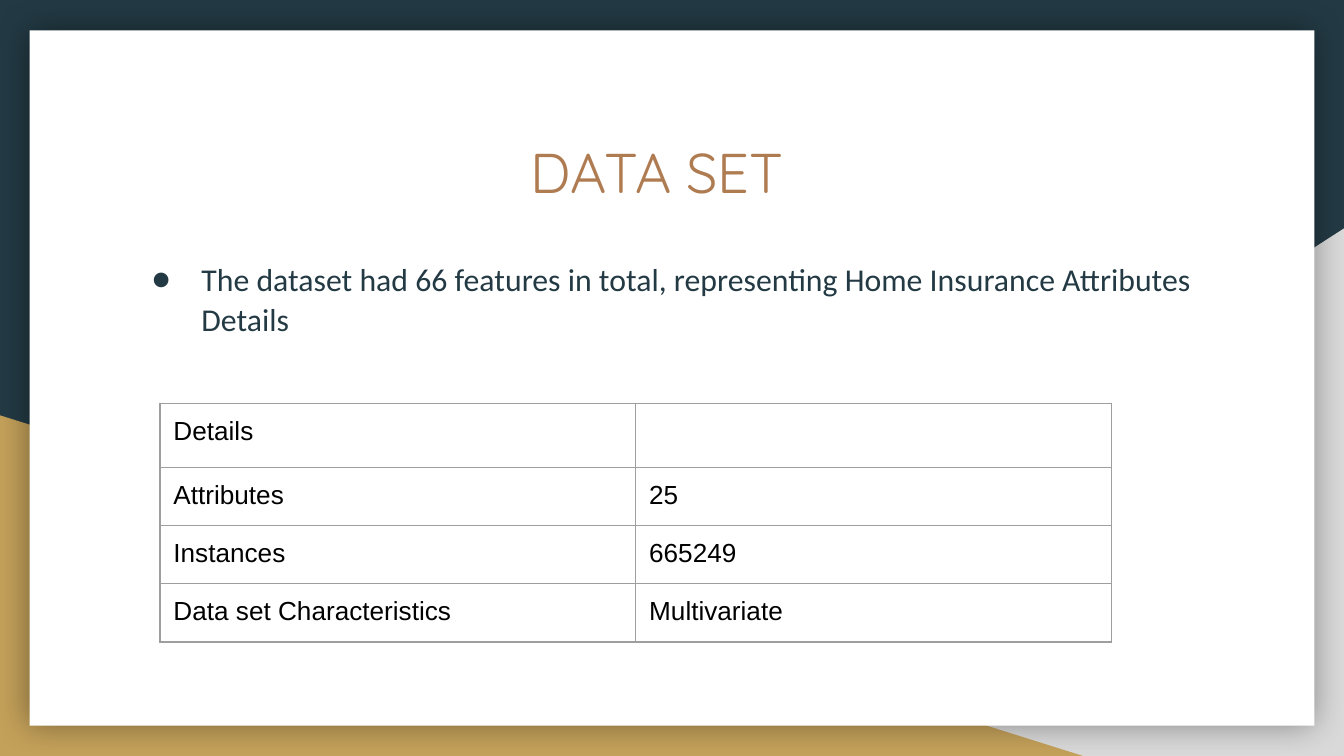
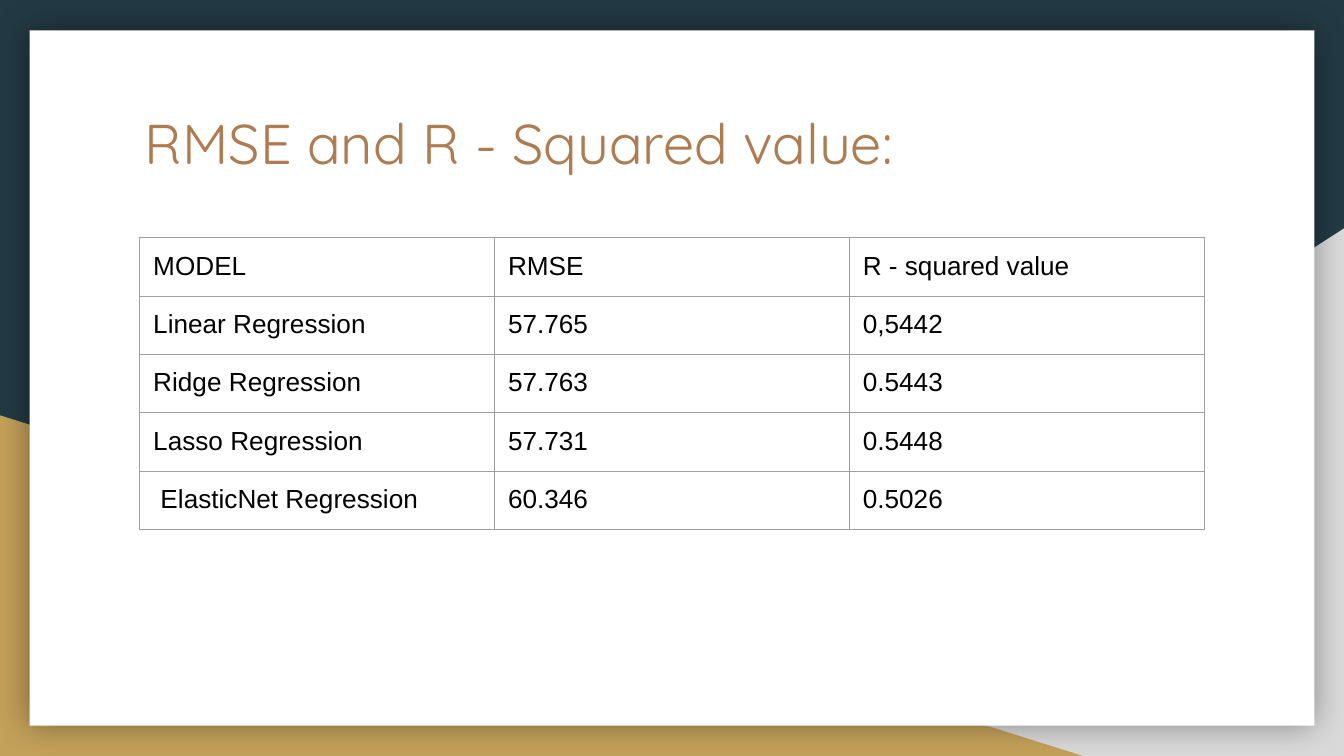
from dataclasses import dataclass

from lxml.etree import SubElement
from pptx import Presentation
from pptx.dml.color import RGBColor
from pptx.enum.shapes import MSO_SHAPE
from pptx.oxml import parse_xml
from pptx.oxml.ns import nsdecls, qn
from pptx.util import Inches, Pt

COLORS = {
    "background": "233A44",
    "gray": "D9D9D9",
    "gold": "C4A15A",
    "card": "FFFFFF",
    "title": "AF7B51",
    "body": "233A44",
    "table_text": "000000",
    "border": "9E9E9E",
    "shadow": "000000",
}
GRID = Inches(0.1)
COLUMNS = 100
ROWS = 56.25
INSET = 1
TABLE_ROW = 4.18


@dataclass
class Box:
    left: float
    top: float
    width: float
    height: float

    def place(self):
        return [round(value * GRID) for value in (self.left, self.top, self.width, self.height)]


def color(name):
    return RGBColor.from_string(COLORS[name])


def format_runs(paragraph, font_name, size, color_name):
    for run in paragraph.runs:
        run.font.name = font_name
        run.font.size = Pt(size)
        run.font.color.rgb = color(color_name)


def indent(paragraph, margin, first_line=0):
    properties = paragraph._p.get_or_add_pPr()
    properties.set("marL", str(round(margin * GRID)))
    properties.set("indent", str(round(first_line * GRID)))
    return properties


def add_plain_shape(slide, preset, box, fill):
    shape = slide.shapes.add_shape(preset, *box.place())
    shape.shadow.inherit = False
    shape.fill.solid()
    shape.fill.fore_color.rgb = color(fill)
    shape.line.fill.background()
    return shape


def add_glow(shape):
    properties = shape._element.spPr
    properties.remove(properties.find(qn("a:effectLst")))
    properties.append(parse_xml(
        f'<a:effectLst {nsdecls("a")}><a:outerShdw blurRad="{Pt(18)}" dist="0" dir="0" '
        f'algn="ctr" rotWithShape="0"><a:srgbClr val="{COLORS["shadow"]}">'
        '<a:alpha val="40000"/></a:srgbClr></a:outerShdw></a:effectLst>'
    ))


def add_backdrop(slide, box):
    gray = Box(box.left + 39.2, box.top + 17, box.width - 39.2, box.height - 17)
    gold = Box(box.left, box.top + 30.9, 80.6, box.height - 30.9)
    card = Box(box.left + 2.2, box.top + 2.25, box.width - 4.4, box.height - 4.5)
    triangle = add_plain_shape(slide, MSO_SHAPE.RIGHT_TRIANGLE, gray, "gray")
    triangle._element.spPr.find(qn("a:xfrm")).set("flipH", "1")
    add_plain_shape(slide, MSO_SHAPE.RIGHT_TRIANGLE, gold, "gold")
    add_glow(add_plain_shape(slide, MSO_SHAPE.RECTANGLE, card, "card"))


def add_text(slide, box, text):
    text_frame = slide.shapes.add_textbox(*box.place()).text_frame
    text_frame.word_wrap = True
    for side in ("left", "top", "right", "bottom"):
        setattr(text_frame, f"margin_{side}", round(INSET * GRID))
    text_frame.text = text
    return text_frame.paragraphs[0]


def add_title(slide, box, text, margin=0):
    paragraph = add_text(slide, box, text)
    indent(paragraph, margin)
    format_runs(paragraph, "Quicksand", 30, "title")


def add_bullet(slide, box, text):
    paragraph = add_text(slide, box, text)
    paragraph.line_spacing = 1.05
    properties = indent(paragraph, 5, -3.7)
    bullet_color = SubElement(properties, qn("a:buClr"))
    SubElement(bullet_color, qn("a:srgbClr"), val=COLORS["body"])
    SubElement(properties, qn("a:buFont"), typeface="Calibri")
    SubElement(properties, qn("a:buChar"), char="●")
    format_runs(paragraph, "Calibri", 17, "body")


def add_borders(cell):
    properties = cell._tc.get_or_add_tcPr()
    for position, side in enumerate(("lnL", "lnR", "lnT", "lnB")):
        properties.insert(position, parse_xml(
            f'<a:{side} {nsdecls("a")} w="{Pt(0.75)}"><a:solidFill>'
            f'<a:srgbClr val="{COLORS["border"]}"/></a:solidFill></a:{side}>'
        ))


def format_cell(cell, text):
    for side in ("left", "top", "right", "bottom"):
        setattr(cell, f"margin_{side}", round(INSET * GRID))
    cell.text_frame.text = text
    paragraph = cell.text_frame.paragraphs[0]
    format_runs(paragraph, "Arial", 14, "table_text")
    if not text:
        SubElement(paragraph._p, qn("a:endParaRPr"), sz="1400")
    cell.fill.background()
    add_borders(cell)


def add_grid_table(slide, box, rows):
    table = slide.shapes.add_table(len(rows), len(rows[0]), *box.place()).table
    table.first_row = False
    table.horz_banding = False
    header_height = box.height - TABLE_ROW * (len(rows) - 1)
    for row_index, row in enumerate(rows):
        height = TABLE_ROW if row_index else header_height
        table.rows[row_index].height = round(height * GRID)
        for column_index, text in enumerate(row):
            format_cell(table.cell(row_index, column_index), text)


def add_slide(presentation):
    slide = presentation.slides.add_slide(presentation.slide_layouts[6])
    add_backdrop(slide, Box(0, 0, COLUMNS, ROWS))
    return slide


def add_data_set_slide(presentation):
    slide = add_slide(presentation)
    add_title(slide, Box(9, 9.2, 82.1, 10.4), "DATA SET", margin=29.5)
    add_bullet(
        slide,
        Box(9, 18.2, 82.1, 26.8),
        "The dataset had 66 features in total, representing Home Insurance Attributes Details",
    )
    add_grid_table(slide, Box(11.9, 30, 70.8, 17.3), [
        ("Details", ""),
        ("Attributes", "25"),
        ("Instances", "665249"),
        ("Data set Characteristics", "Multivariate"),
    ])


def add_results_slide(presentation):
    slide = add_slide(presentation)
    add_title(slide, Box(9.8, 7.1, 78, 8), "RMSE and R - Squared value:")
    add_grid_table(slide, Box(10.4, 17.7, 79.2, 5 * TABLE_ROW), [
        ("MODEL", "RMSE", "R - squared value"),
        ("Linear Regression", "57.765", "0,5442"),
        ("Ridge Regression", "57.763", "0.5443"),
        ("Lasso Regression", "57.731", "0.5448"),
        (" ElasticNet Regression", "60.346", "0.5026"),
    ])


def main():
    presentation = Presentation()
    presentation.slide_width = round(COLUMNS * GRID)
    presentation.slide_height = round(ROWS * GRID)
    background = presentation.slide_master.background.fill
    background.solid()
    background.fore_color.rgb = color("background")
    add_data_set_slide(presentation)
    add_results_slide(presentation)
    presentation.save("out.pptx")


if __name__ == "__main__":
    main()
